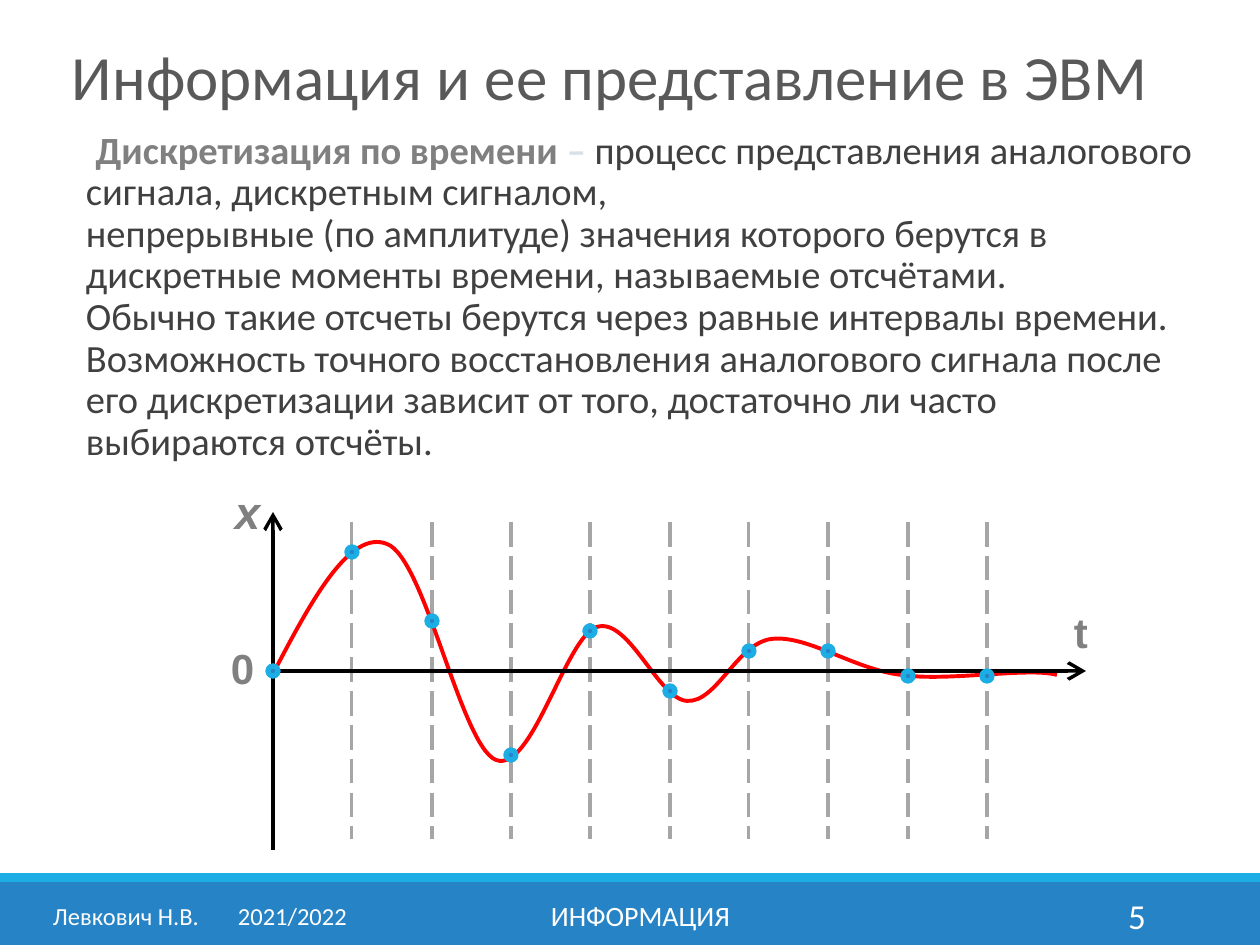
from copy import deepcopy
from dataclasses import dataclass

from lxml.etree import SubElement
from pptx import Presentation
from pptx.dml.color import RGBColor
from pptx.enum.dml import MSO_LINE
from pptx.enum.shapes import MSO_CONNECTOR, MSO_SHAPE
from pptx.enum.text import MSO_ANCHOR, MSO_AUTO_SIZE, PP_ALIGN
from pptx.oxml.ns import qn
from pptx.util import Emu, Pt

EMU_PER_PX = 914400 / 126
COLORS = {
    "white": "FFFFFF", "bar": "2683C6", "accent": "1CADE4", "axis": "000000",
    "grid": "A6A6A6", "curve": "FF0000", "title": "595959", "body": "404040",
    "label": "808080", "dash": "D9E0E6",
}


@dataclass
class Span:
    text: str
    size: int
    color: str
    font: str = "Calibri"
    bold: bool = False
    italic: bool = False


@dataclass
class Label:
    span: Span
    box: tuple[int, int, int, int]
    align: PP_ALIGN = PP_ALIGN.LEFT
    margins: tuple[int, int] = (13, 6)
    anchor: MSO_ANCHOR = MSO_ANCHOR.MIDDLE
    tab: int | None = None


def px(length: int) -> Emu:
    return Emu(round(length * EMU_PER_PX))


def rgb(name: str) -> RGBColor:
    return RGBColor.from_string(COLORS[name])


def add_span(para, span: Span) -> None:
    """Add a run, turning newlines into line breaks of the same size."""
    for index, text in enumerate(span.text.split("\n")):
        if index:
            para.add_line_break()
        run = para.add_run()
        run.text = text
        font = run.font
        font.name, font.size = span.font, Pt(span.size)
        font.bold, font.italic = span.bold, span.italic
        font.color.rgb = rgb(span.color)
        if index:
            line_break = para._p.findall(qn("a:br"))[-1]
            line_break.append(deepcopy(run._r.find(qn("a:rPr"))))


def set_frame(shape, box, margins=(13, 6), anchor=MSO_ANCHOR.TOP):
    """Place a text shape and return its first paragraph."""
    shape.left, shape.top, shape.width, shape.height = map(px, box)
    frame = shape.text_frame
    frame.word_wrap, frame.auto_size = True, MSO_AUTO_SIZE.NONE
    frame.vertical_anchor = anchor
    frame.margin_left = frame.margin_right = px(margins[0])
    frame.margin_top = frame.margin_bottom = px(margins[1])
    return frame.paragraphs[0]


def add_label(page, label: Label) -> None:
    box = page.shapes.add_textbox(0, 0, 0, 0)
    para = set_frame(box, label.box, label.margins, label.anchor)
    para.alignment = label.align
    add_span(para, label.span)
    if label.tab is not None:
        stops = SubElement(para._p.get_or_add_pPr(), qn("a:tabLst"))
        SubElement(stops, qn("a:tab"), pos=str(px(label.tab)), algn="l")


def add_filled(shapes, preset, box, fill: str, outline: str | None = None) -> None:
    shape = shapes.add_shape(preset, *map(px, box))
    shape.shadow.inherit = False
    shape.fill.solid()
    shape.fill.fore_color.rgb = rgb(fill)
    if outline:
        shape.line.color.rgb = rgb(outline)
        shape.line.width = Pt(3)
    else:
        shape.line.fill.background()


def add_line(shapes, start, end, color: str, width: float,
             dash=None, arrow: str | None = None) -> None:
    """Draw a line; arrow is "headEnd" or "tailEnd"."""
    line = shapes.add_connector(MSO_CONNECTOR.STRAIGHT, *map(px, start + end))
    line.line.color.rgb = rgb(color)
    line.line.width = Pt(width)
    if dash:
        line.line.dash_style = dash
    properties = line._element.spPr
    if arrow:
        SubElement(properties.find(qn("a:ln")), qn(f"a:{arrow}"),
                   type="arrow", w="lg", len="lg")
    SubElement(properties, qn("a:effectLst"))


def add_curve(page, knots) -> None:
    """Draw a chain of cubic Bezier segments: anchor, then triples."""
    points = [(px(x), px(y)) for x, y in knots]
    anchors = points[::3]
    builder = page.shapes.build_freeform(*anchors[0], scale=1.0)
    builder.add_line_segments(anchors[1:], close=False)
    curve = builder.convert_to_shape()
    left, top = (min(values) for values in zip(*anchors))
    outline = next(curve._element.iter(qn("a:path")))
    for segment in outline.findall(qn("a:lnTo")):
        outline.remove(segment)
    for first in range(1, len(points), 3):
        segment = SubElement(outline, qn("a:cubicBezTo"))
        for x, y in points[first:first + 3]:
            SubElement(segment, qn("a:pt"), x=str(x - left), y=str(y - top))
    curve.shadow.inherit = False
    curve.fill.background()
    curve.line.color.rgb = rgb("curve")
    curve.line.width = Pt(2.25)


ORIGIN_X, AXIS_Y = 273, 671
SAMPLE_SPAN = 714
SAMPLE_Y = [671, 552, 621, 755, 631, 691, 651, 651, 676, 676]
SAMPLE_X = [round(ORIGIN_X + k * SAMPLE_SPAN / 9) for k in range(10)]
DOT = 10
SIGNAL = [
    (273, 674), (311, 601), (350, 529), (387, 544), (425, 558), (461, 746),
    (496, 760), (532, 774), (566, 636), (597, 627), (629, 617), (658, 699),
    (687, 701), (717, 703), (737, 643), (772, 639), (808, 635), (853, 669),
    (901, 675), (948, 682), (1029, 667), (1057, 675),
]
TITLE = Span("Информация и ее представление в ЭВМ", 36, "title")
DEFINITION = [
    Span("Дискретизация по времени ", 22, "label", bold=True),
    Span("– ", 22, "dash", bold=True),
    Span("процесс представления аналогового сигнала, дискретным сигналом,\n"
         "непрерывные (по амплитуде) значения которого берутся в дискретные "
         "моменты времени, называемые отсчётами.\n"
         "Обычно такие отсчеты берутся через равные интервалы времени. "
         "Возможность точного восстановления аналогового сигнала после его "
         "дискретизации зависит от того, достаточно ли часто выбираются отсчёты.",
         22, "body"),
]
LABELS = [
    Label(Span("5", 20, "white"), (1023, 890, 136, 51), PP_ALIGN.RIGHT),
    Label(Span("Левкович Н.В.\t2021/2022", 14, "white"), (40, 890, 329, 51), tab=185),
    Label(Span("ИНФОРМАЦИЯ", 16, "white"), (381, 890, 519, 51), PP_ALIGN.CENTER),
    Label(Span("0", 24, "label", "Arial", True), (213, 642, 59, 49),
          PP_ALIGN.CENTER, (1, 1), MSO_ANCHOR.TOP),
    Label(Span("t", 24, "label", "Arial", True), (1073, 605, 100, 58),
          margins=(1, 1), anchor=MSO_ANCHOR.TOP),
    Label(Span("x", 26, "label", "Arial", True, True), (234, 483, 38, 50),
          margins=(1, 1), anchor=MSO_ANCHOR.TOP),
]


def fill_placeholders(page) -> None:
    para = set_frame(page.shapes.title, (59, 31, 1171, 101), anchor=MSO_ANCHOR.MIDDLE)
    para.alignment, para.line_spacing = PP_ALIGN.LEFT, 0.85
    add_span(para, TITLE)

    para = set_frame(page.placeholders[1], (85, 125, 1121, 318), (0, 6))
    para.line_spacing, para.space_before, para.space_after = 0.9, Pt(12), Pt(2)
    for span in DEFINITION:
        add_span(para, span)
    properties = para._p.get_or_add_pPr()
    properties.set("marL", str(px(1)))
    properties.set("indent", str(-px(1)))
    bullet_color = SubElement(properties, qn("a:buClr"))
    SubElement(bullet_color, qn("a:srgbClr"), val=COLORS["accent"])
    SubElement(properties, qn("a:buChar"), char=" ")


def add_signal_plot(page) -> None:
    grid = page.shapes.add_group_shape().shapes
    for x in SAMPLE_X[1:]:
        add_line(grid, (x, 522), (x, 839), "grid", 1.75, dash=MSO_LINE.LONG_DASH)
    add_curve(page, SIGNAL)
    add_line(page.shapes, (ORIGIN_X, AXIS_Y), (1086, AXIS_Y), "axis", 2, arrow="tailEnd")
    add_line(page.shapes, (ORIGIN_X, 512), (ORIGIN_X, 850), "axis", 2, arrow="headEnd")
    dots = page.shapes.add_group_shape().shapes
    for x, y in zip(SAMPLE_X, SAMPLE_Y):
        add_filled(dots, MSO_SHAPE.OVAL, (x - DOT // 2, y - DOT // 2, DOT, DOT),
                   "bar", "accent")


def main() -> None:
    deck = Presentation()
    deck.slide_width, deck.slide_height = px(1260), px(945)
    page = deck.slides.add_slide(deck.slide_layouts[1])
    add_filled(page.shapes, MSO_SHAPE.RECTANGLE, (0, 882, 1260, 63), "bar")
    add_filled(page.shapes, MSO_SHAPE.RECTANGLE, (0, 873, 1260, 9), "accent")
    fill_placeholders(page)
    add_signal_plot(page)
    for label in LABELS:
        add_label(page, label)
    deck.save("out.pptx")


if __name__ == "__main__":
    main()
